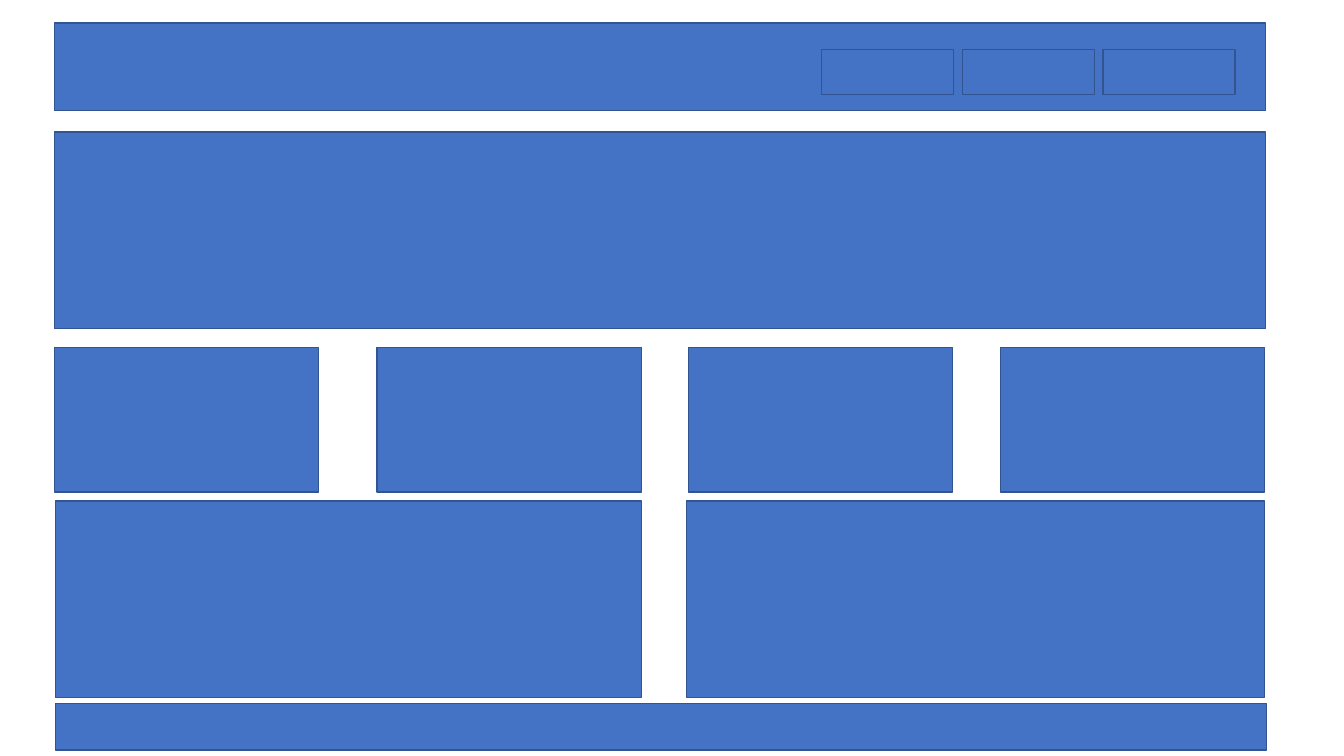
from pptx import Presentation
from pptx.dml.color import RGBColor
from pptx.enum.shapes import MSO_SHAPE
from pptx.util import Inches, Pt

RECTANGLE = MSO_SHAPE.RECTANGLE
BLUE = RGBColor(0x44, 0x72, 0xC4)
DARK_BLUE = RGBColor(0x32, 0x54, 0x91)
LEFT = 0.54
FULL_WIDTH = 12.01
PANEL_HEIGHT = 1.95


class Wireframe:
    def __init__(self, slide, fill, line, line_width):
        self.slide = slide
        self.fill = fill
        self.line = line
        self.line_format = {"width": Pt(line_width)}

    def box(self, left, top, width, height):
        bounds = [Inches(v) for v in (left, top, width, height)]
        sp = self.slide.shapes.add_shape(RECTANGLE, *bounds)
        sp.shadow.inherit = False
        sp.fill.solid()
        sp.fill.fore_color.rgb = self.fill
        sp.line.color.rgb = self.line
        for name, value in self.line_format.items():
            setattr(sp.line, name, value)
        return sp

    def row(self, lefts, top, width, height):
        for left in lefts:
            self.box(left, top, width, height)


prs = Presentation()
prs.slide_width = Inches(13.33)
prs.slide_height = Inches(7.5)
s = prs.slides.add_slide(prs.slide_layouts[6])
page = Wireframe(s, BLUE, DARK_BLUE, 1)

menu_lefts = [8.15 + 1.395 * i for i in range(3)]
card_lefts = [LEFT] + [3.74 + 3.09 * i for i in range(3)]

page.box(LEFT, 0.23, FULL_WIDTH, 0.87)
page.row(menu_lefts, 0.49, 1.31, 0.45)
page.box(LEFT, 1.31, FULL_WIDTH, PANEL_HEIGHT)
page.row(card_lefts, 3.45, 2.62, 1.43)
for left, width in ((0.55, 5.81), (6.81, 5.73)):
    page.box(left, 4.97, width, PANEL_HEIGHT)
page.box(0.55, 6.98, FULL_WIDTH, 0.46)

prs.save("out.pptx")
